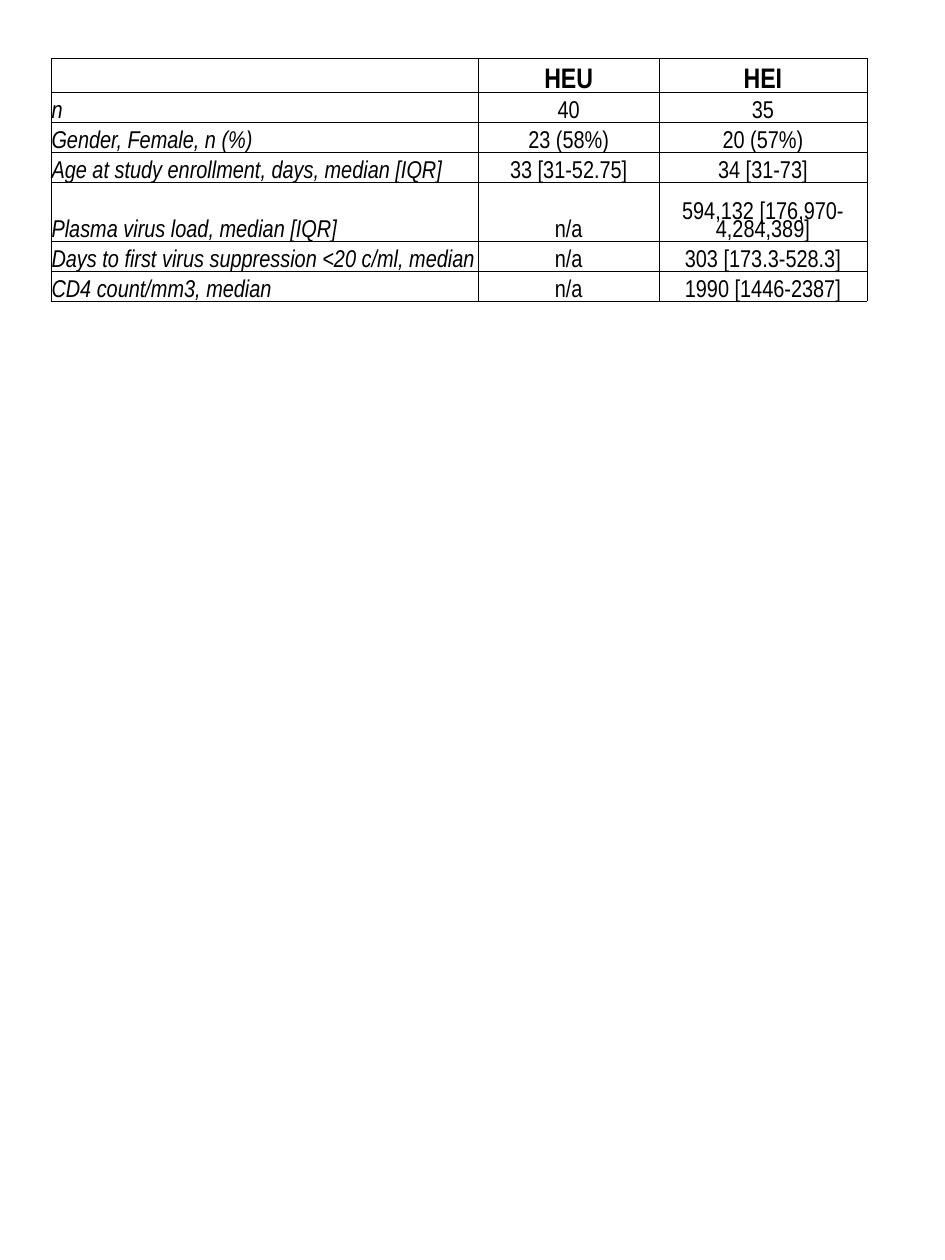
import pptx
import pptx.util
import pptx.dml.color
import pptx.enum.text
import pptx.oxml
import pptx.oxml.ns

Cm, Pt = pptx.util.Cm, pptx.util.Pt
ALIGN = pptx.enum.text.PP_ALIGN
FONT = "Arial Narrow"
BLACK = "000000"

WIDTHS = [22.99, 9.68, 11.2]
HEAD, LINE = 1.83, 1.6
ROWS = [
    ("", "HEU", "HEI"),
    ("n", "40", "35"),
    ("Gender, Female, n (%)", "23 (58%)", "20 (57%)"),
    ("Age at study enrollment, days, median [IQR]", "33 [31-52.75]", "34 [31-73]"),
    ("Plasma virus load, median [IQR]", "n/a", "594,132 [176,970-4,284,389]"),
    ("Days to first virus suppression <20 c/ml, median", "n/a", "303 [173.3-528.3]"),
    ("CD4 count/mm3, median", "n/a", "1990 [1446-2387]"),
]
HEIGHTS = [HEAD, LINE, LINE, LINE, 2 * LINE, LINE, LINE]


def color(code):
    return pptx.dml.color.RGBColor.from_string(code)


def border(cell, code, width):
    props = cell._tc.get_or_add_tcPr()
    for side in ("lnL", "lnR", "lnT", "lnB"):
        props.append(pptx.oxml.parse_xml(
            f'<a:{side} {pptx.oxml.ns.nsdecls("a")} w="{Pt(width)}">'
            f'<a:solidFill><a:srgbClr val="{code}"/></a:solidFill></a:{side}>'))


def write(cell, text, size, bold, italic, align):
    para = cell.text_frame.paragraphs[0]
    para.alignment = align
    para.line_spacing = 0.8
    run = para.add_run()
    run.text = text
    font = run.font
    font.name, font.size = FONT, Pt(size)
    font.bold, font.italic = bold, italic
    font.color.rgb = color(BLACK)


def style(cell):
    cell.margin_left = cell.margin_right = cell.margin_top = Cm(0.03)
    cell.margin_bottom = 0
    cell.vertical_anchor = pptx.enum.text.MSO_ANCHOR.BOTTOM
    border(cell, BLACK, 0.5)
    cell.fill.background()


def add_grid(slide, left, top):
    frame = slide.shapes.add_table(len(ROWS), len(WIDTHS), Cm(left), Cm(top),
                                   Cm(sum(WIDTHS)), Cm(sum(HEIGHTS)))
    table = frame.table
    table.first_row = table.horz_banding = False
    for col, width in zip(table.columns, WIDTHS):
        col.width = Cm(width)
    for r, (row, height) in enumerate(zip(ROWS, HEIGHTS)):
        table.rows[r].height = Cm(height)
        for c, text in enumerate(row):
            cell = table.cell(r, c)
            style(cell)
            if text:
                # Header is large and bold, labels are italic
                write(cell, text, 37 if r else 43, r == 0, c == 0,
                      ALIGN.CENTER if c else ALIGN.LEFT)


def main():
    deck = pptx.Presentation()
    deck.slide_width, deck.slide_height = Cm(50.8), Cm(67.74)
    slide = deck.slides.add_slide(deck.slide_layouts[6])

    # Cohort table
    add_grid(slide, 2.74, 3.15)
    deck.save("out.pptx")


if __name__ == "__main__":
    main()
